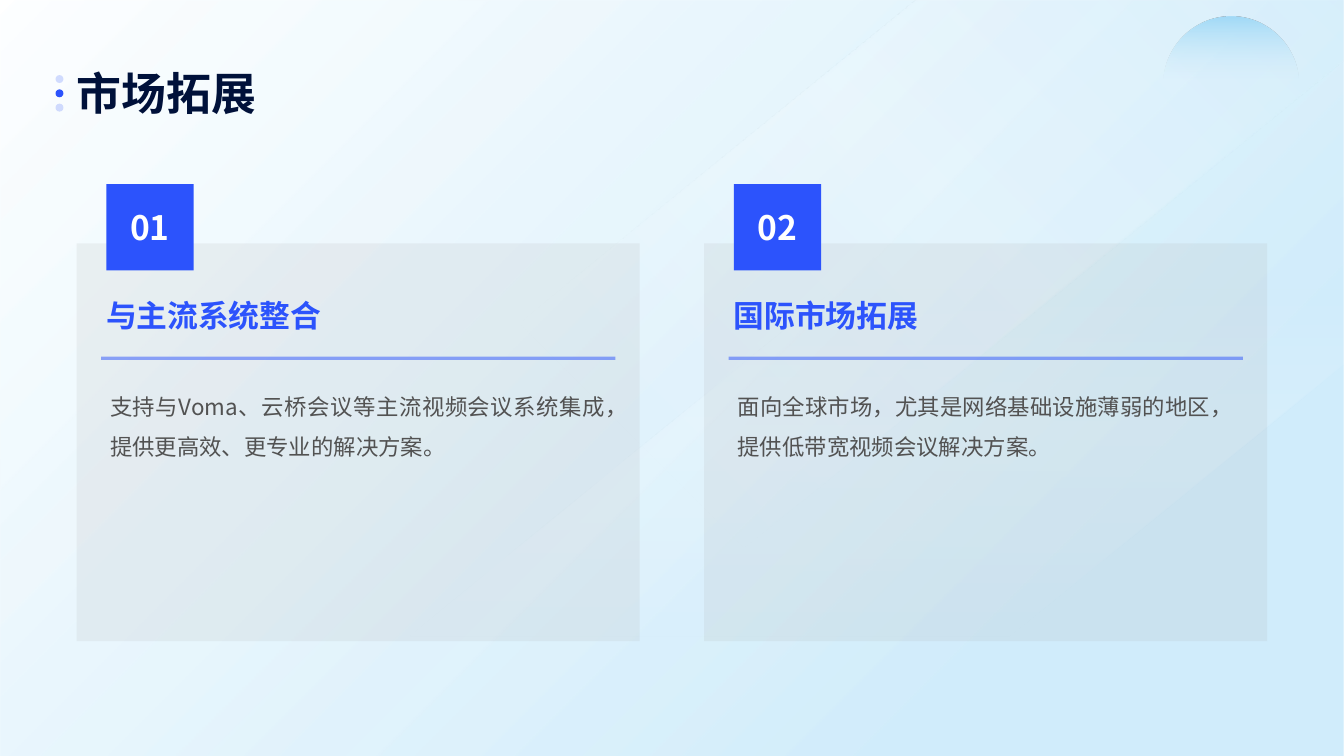
from dataclasses import dataclass

from lxml import etree
from pptx import Presentation
from pptx.dml.color import RGBColor
from pptx.enum.shapes import MSO_CONNECTOR, MSO_SHAPE
from pptx.enum.text import MSO_ANCHOR, MSO_AUTO_SIZE, PP_ALIGN
from pptx.oxml.ns import qn
from pptx.util import Cm, Pt

RECT, ROUND, OVAL = MSO_SHAPE.RECTANGLE, MSO_SHAPE.ROUNDED_RECTANGLE, MSO_SHAPE.OVAL
DOME = MSO_SHAPE.ROUND_2_SAME_RECTANGLE
LINE = MSO_CONNECTOR.STRAIGHT
TOP, MID, LOW = MSO_ANCHOR.TOP, MSO_ANCHOR.MIDDLE, MSO_ANCHOR.BOTTOM
LEFT, CENTER, JUST = PP_ALIGN.LEFT, PP_ALIGN.CENTER, PP_ALIGN.JUSTIFY
NO_FIT = MSO_AUTO_SIZE.NONE

COLORS = {
    "blue": "2C53FC", "navy": "00113A", "gray": "ADADAD", "text": "525252",
    "sky": "15A2E9", "pale": "D0ECFB", "dome": "A1DAF7", "white": "FFFFFF",
}
SANS, MONO = "Noto Sans CJK SC", "Noto Sans Mono"
WIDE, HIGH = 25.4, 14.29
PITCH = 11.86


@dataclass
class Card:
    num: str
    head: str
    body: str


@dataclass
class Fade:
    stops: list  # (position %, color name, opacity %)
    angle: int


@dataclass
class Ray:
    points: list
    fade: Fade


CARDS = [
    Card("01", "与主流系统整合",
         "支持与Voma、云桥会议等主流视频会议系统集成，提供更高效、更专业的解决方案。"),
    Card("02", "国际市场拓展",
         "面向全球市场，尤其是网络基础设施薄弱的地区，提供低带宽视频会议解决方案。"),
]
WASH = Fade([(0, "sky", 0), (78, "sky", 19)], 45)
GLOW = Fade([(0, "dome", 100), (44, "pale", 0)], 90)
RAYS = [
    Ray([(17.35, 0), (WIDE, 0), (WIDE, 1.14), (10.87, 12.95), (1.4, 12.95)],
        Fade([(0, "pale", 24), (31, "white", 19), (59, "white", 0)], 135)),
    Ray([(15.82, 5.44), (WIDE, 5.44), (WIDE, 6.88), (16.28, HIGH), (4.95, HIGH)],
        Fade([(0, "white", 0), (30, "white", 14), (75, "white", 0)], 90)),
]


def rgb(name: str) -> RGBColor:
    return RGBColor.from_string(COLORS[name])


def set_alpha(node, pct: int) -> None:
    for clr in node.iter(qn("a:srgbClr")):
        etree.SubElement(clr, qn("a:alpha"), val=str(pct * 1000))


def paint(shape, color: str, alpha: int = 100) -> None:
    shape.shadow.inherit = False
    shape.line.fill.background()
    shape.fill.solid()
    shape.fill.fore_color.rgb = rgb(color)
    if alpha < 100:
        set_alpha(shape.element.spPr.find(qn("a:solidFill")), alpha)


def blend(shape, fade: Fade) -> None:
    paint(shape, "white")
    old = shape.element.spPr.find(qn("a:solidFill"))
    grad = etree.Element(qn("a:gradFill"), rotWithShape="1")
    stops = etree.SubElement(grad, qn("a:gsLst"))
    for pos, color, alpha in fade.stops:
        stop = etree.SubElement(stops, qn("a:gs"), pos=str(pos * 1000))
        etree.SubElement(stop, qn("a:srgbClr"), val=COLORS[color])
        set_alpha(stop, alpha)
    etree.SubElement(grad, qn("a:lin"), ang=str(fade.angle * 60000), scaled="0")
    old.getparent().replace(old, grad)


def add_box(shapes, kind, left: float, top: float, width: float, height: float):
    return shapes.add_shape(kind, Cm(left), Cm(top), Cm(width), Cm(height))


def add_area(shapes, left: float, top: float, width: float, height: float):
    return shapes.add_textbox(Cm(left), Cm(top), Cm(width), Cm(height))


def write(shape, text: str, size: float, color: str, bold: bool = False,
          align=LEFT, anchor=MID, face: str = SANS, wrap: bool = True,
          gap: float = 1.0) -> None:
    frame = shape.text_frame
    frame.text = text
    frame.word_wrap = wrap
    frame.auto_size = NO_FIT
    frame.vertical_anchor = anchor
    frame.margin_left = frame.margin_right = 0
    frame.margin_top = frame.margin_bottom = 0
    para = frame.paragraphs[0]
    para.alignment = align
    para.line_spacing = gap
    run = para.runs[0]
    font = run.font
    font.size, font.bold, font.name = Pt(size), bold, face
    font.color.rgb = rgb(color)
    etree.SubElement(font.element if hasattr(font, "element") else run._r.rPr,
                     qn("a:ea"), typeface=face)


def draw_rule(shapes, left: float, right: float, y: float) -> None:
    rule = shapes.add_connector(LINE, Cm(left), Cm(y), Cm(right), Cm(y))
    rule.line.color.rgb = rgb("blue")
    rule.line.width = Pt(1.75)
    props = rule.element.spPr
    set_alpha(props, 50)
    etree.SubElement(props, qn("a:effectLst"))


def draw_back(shapes) -> None:
    blend(add_box(shapes, RECT, 0, 0, WIDE, HIGH), WASH)
    for ray in RAYS:
        points = [(Cm(x), Cm(y)) for x, y in ray.points]
        path = shapes.build_freeform(*points[0])
        path.add_line_segments(points[1:], close=True)
        blend(path.convert_to_shape(), ray.fade)
    dome = add_box(shapes, DOME, 22, 0.32, 2.54, 2.69)
    dome.adjustments[0] = dome.adjustments[1] = 0.5
    blend(dome, GLOW)
    for i, alpha in enumerate((20, 100, 20)):
        paint(add_box(shapes, OVAL, 1.05, 1.42 + i * 0.27, 0.15, 0.15), "blue", alpha)


def draw_card(shapes, card: Card, x: float) -> None:
    panel = add_box(shapes, ROUND, x, 4.6, 10.64, 7.52)
    panel.adjustments[0] = 0
    paint(panel, "gray", 15)
    write(add_area(shapes, x + 0.63, 7.17, 9.37, 4.57), card.body, 12, "text",
          align=JUST, anchor=TOP, gap=1.5)
    tag = add_box(shapes, ROUND, x + 0.56, 3.48, 1.65, 1.63)
    tag.adjustments[0] = 0
    paint(tag, "blue")
    write(tag, card.num, 18, "white", bold=True, align=CENTER, wrap=False)
    draw_rule(shapes, x + 0.46, x + 10.18, 6.77)
    write(add_area(shapes, x + 0.56, 5.51, 9.37, 0.91), card.head, 16.5, "blue", bold=True)


def main() -> None:
    deck = Presentation()
    deck.slide_width, deck.slide_height = Cm(WIDE), Cm(HIGH)
    slide = deck.slides.add_slide(deck.slide_layouts[5])
    shapes = slide.shapes

    # Backdrop
    draw_back(shapes)

    # Title, raised above the backdrop
    title = shapes.title
    title.left, title.top, title.width, title.height = Cm(1.45), Cm(0.76), Cm(22.5), Cm(1.5)
    write(title, "市场拓展", 24, "navy", bold=True, anchor=LOW, face=MONO)
    title.element.getparent().append(title.element)

    # Cards
    for i, card in enumerate(CARDS):
        draw_card(shapes, card, 1.45 + i * PITCH)

    deck.save("out.pptx")


if __name__ == "__main__":
    main()
